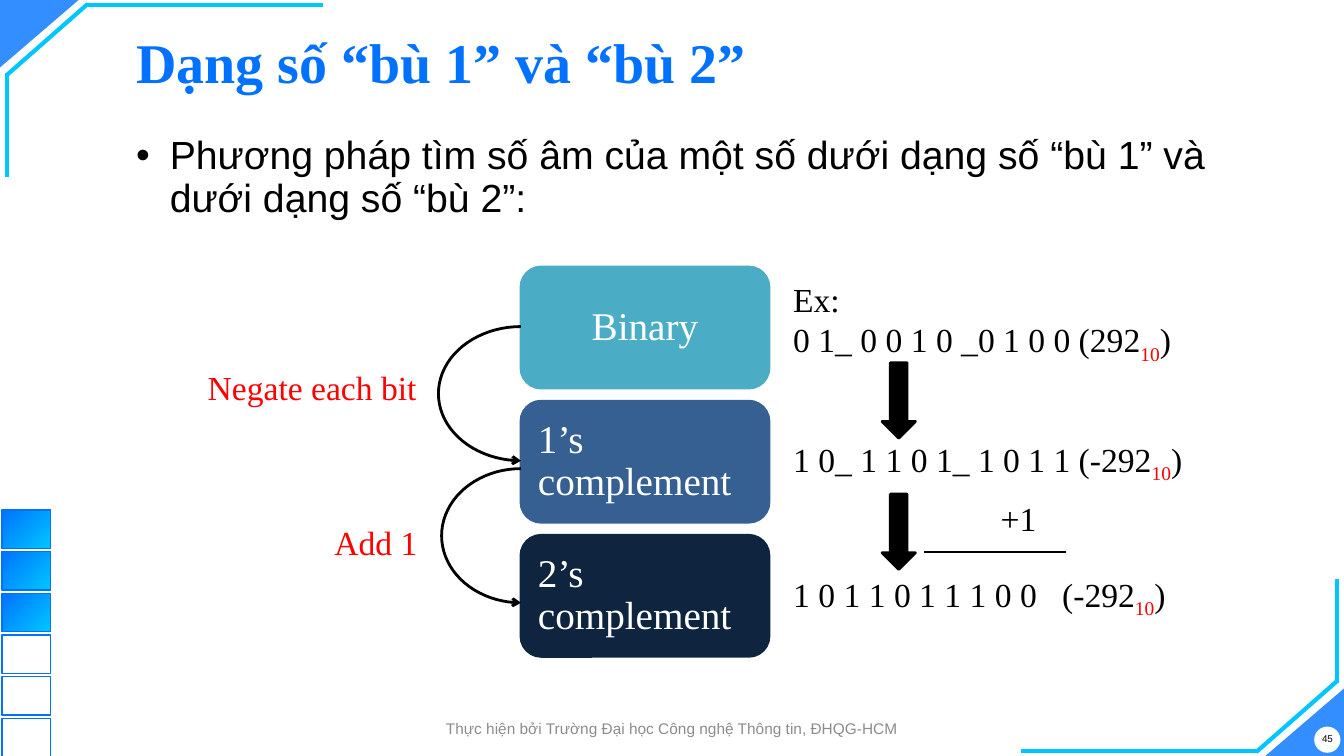
import math
from dataclasses import dataclass

import pptx
import pptx.dml.color
import pptx.enum.shapes
import pptx.enum.text
import pptx.oxml.ns
import pptx.util
from lxml import etree

Cm = pptx.util.Cm
Pt = pptx.util.Pt
Kind = pptx.enum.shapes.MSO_SHAPE
Align = pptx.enum.text.PP_ALIGN
Anchor = pptx.enum.text.MSO_ANCHOR
WIDE, HIGH = 33.87, 19.05


@dataclass(frozen=True)
class Theme:
    blue: str = "0072FF"
    cyan: str = "00C6FF"
    black: str = "000000"
    white: str = "FFFFFF"
    red: str = "FF0000"
    gray: str = "8C8C8C"
    steps: tuple = ("4BACC6", "366092", "0F243E")
    serif: str = "Times New Roman"
    sans: str = "Arial"
    title: int = 40
    body: int = 28
    label: int = 24
    foot: int = 11
    page: int = 7


def rgb(code):
    return pptx.dml.color.RGBColor.from_string(code)


def node(parent, tag, **attrs):
    return etree.SubElement(parent, pptx.oxml.ns.qn(tag), attrs)


class Board:
    def __init__(self, theme, slide):
        self.theme = theme
        self.slide = slide
        self.shapes = slide.shapes

    def style(self, para, size, face, color, bold=False):
        for run in para.runs:
            font = run.font
            font.size, font.name, font.bold = Pt(size), face, bold
            font.color.rgb = rgb(color)

    def title(self, words, box):
        shape = self.shapes.title
        shape.left, shape.top, shape.width, shape.height = map(Cm, box)
        frame = shape.text_frame
        frame.text = words
        frame.auto_size = pptx.enum.text.MSO_AUTO_SIZE.NONE
        frame.vertical_anchor = Anchor.MIDDLE
        para = frame.paragraphs[0]
        para.alignment = Align.JUSTIFY
        para.line_spacing = 0.9
        para.space_after = Pt(10)
        self.style(para, self.theme.title, self.theme.serif, self.theme.blue, True)

    def text(self, words, box, size, face, color, align=Align.LEFT, pad=0.1, anchor=Anchor.TOP):
        frame = self.shapes.add_textbox(*map(Cm, box)).text_frame
        frame.word_wrap = True
        frame.vertical_anchor = anchor
        frame.margin_left = frame.margin_right = Cm(pad)
        frame.margin_top = frame.margin_bottom = Cm(0.1)
        frame.text = words
        for para in frame.paragraphs:
            para.alignment = align
            self.style(para, size, face, color)
        return frame.paragraphs[-1]

    def label(self, words, box, color=None, align=Align.LEFT):
        return self.text(words, box, self.theme.label, self.theme.serif,
                         color or self.theme.black, align)

    def number(self, words, box, tab=None):
        """Binary digits followed by the value with its base as a red subscript."""
        para = self.label(words, box)
        if tab:
            stops = node(para._p.get_or_add_pPr(), "a:tabLst")
            node(stops, "a:tab", pos=str(Cm(tab)), algn="l")
        for part in ("10", ")"):
            para.add_run().text = part
        self.style(para, self.theme.label, self.theme.serif, self.theme.black)
        base = para.runs[-2]
        base.font.color.rgb = rgb(self.theme.red)
        base._r.get_or_add_rPr().set("baseline", "-25000")

    def bullet(self, words, box):
        para = self.text(words, box, self.theme.body, self.theme.sans,
                         self.theme.black, pad=0.25)
        para.line_spacing = 0.9
        props = para._p.get_or_add_pPr()
        props.set("marL", str(Cm(0.85)))
        props.set("indent", str(Cm(-0.85)))
        node(props, "a:buFont", typeface=self.theme.sans)
        node(props, "a:buChar", char="•")

    def shape(self, kind, box, fill=None, line=None, width=1):
        item = self.shapes.add_shape(kind, *map(Cm, box))
        self.paint(item, fill, line, width)
        return item

    def paint(self, item, fill, line, width):
        item.shadow.inherit = False
        if fill:
            item.fill.solid()
            item.fill.fore_color.rgb = rgb(fill)
        else:
            item.fill.background()
        if line:
            item.line.color.rgb = rgb(line)
            item.line.width = Pt(width)
        else:
            item.line.fill.background()

    def corner(self, box, turn):
        item = self.shape(Kind.ISOSCELES_TRIANGLE, box, self.theme.blue)
        item.adjustments[0] = 1
        item.rotation = turn
        color = item._element.spPr.find(".//" + pptx.oxml.ns.qn("a:srgbClr"))
        node(color, "a:alpha", val="80000")

    def square(self, box, full):
        item = self.shape(Kind.RECTANGLE, box, line=self.theme.blue)
        if full:
            item.fill.gradient()
            item.fill.gradient_angle = 315
            for stop, code in zip(item.fill.gradient_stops, (self.theme.blue, self.theme.cyan)):
                stop.color.rgb = rgb(code)

    def step(self, words, box, color, align):
        item = self.shape(Kind.ROUNDED_RECTANGLE, box, color, color, 2)
        frame = item.text_frame
        frame.word_wrap = True
        frame.vertical_anchor = Anchor.MIDDLE
        frame.margin_left = frame.margin_right = Cm(0.28)
        frame.margin_top = frame.margin_bottom = Cm(0.28)
        frame.text = words
        para = frame.paragraphs[0]
        para.alignment = align
        para.line_spacing = 0.9
        self.style(para, self.theme.body, self.theme.serif, self.theme.white)

    def line(self, start, end, color, width):
        item = self.shapes.add_connector(pptx.enum.shapes.MSO_CONNECTOR.STRAIGHT,
                                         *map(Cm, (*start, *end)))
        item.line.color.rgb = rgb(color)
        item.line.width = Pt(width)
        node(item._element.spPr, "a:effectLst")

    def loop(self, right, top, width, height):
        """Half ellipse open to the right, with an arrow at its lower end."""
        count = 40
        turns = [math.pi * i / count for i in range(count + 1)]
        points = [(Cm(right - width * math.sin(a)), Cm(top + height * (1 - math.cos(a)) / 2))
                  for a in turns]
        pen = self.shapes.build_freeform(*points[0])
        pen.add_line_segments(points[1:], close=False)
        item = pen.convert_to_shape()
        self.paint(item, None, self.theme.black, 2)
        node(item.line._get_or_add_ln(), "a:tailEnd", type="arrow")


def frame(board):
    look = board.theme
    board.corner((0, 0, 1.98, 1.7), 180)
    board.corner((WIDE - 1.98, HIGH - 1.7, 1.98, 1.7), 0)
    edges = [((8.13, 0.13), (2.16, 0.13)), ((2.21, 0.1), (0.15, 1.91)),
             ((0.18, 4.45), (0.18, 1.85))]
    for edge in edges:
        board.line(*edge, look.cyan, 3)
        board.line(*[(WIDE - x, HIGH - y) for x, y in edge], look.cyan, 3)
    for i in range(6):
        board.square((0.05, 12.85 + 1.05 * i, 1.22, 0.97), i < 3)
    board.shape(Kind.OVAL, (33.12, 18.31, 0.66, 0.66), look.white)
    board.text("45", (33.05, 18.21, 0.81, 0.81), look.page, look.sans, look.black,
               Align.CENTER, 0, Anchor.MIDDLE)
    board.text("Thực hiện bởi Trường Đại học Công nghệ Thông tin, ĐHQG-HCM",
               (10.13, 17.98, 13.61, 0.74), look.foot, look.sans, look.gray,
               Align.CENTER, anchor=Anchor.MIDDLE)


def main():
    deck = pptx.Presentation()
    deck.slide_width, deck.slide_height = Cm(WIDE), Cm(HIGH)
    look = Theme()
    board = Board(look, deck.slides.add_slide(deck.slide_layouts[5]))
    frame(board)
    board.title("Dạng số “bù 1” và “bù 2”", (3.18, 0.41, 29.21, 2.49))
    board.bullet("Phương pháp tìm số âm của một số dưới dạng số “bù 1” và dưới dạng số “bù 2”:",
                 (3.18, 3.33, 29.21, 2.6))

    steps = [("Binary", Align.CENTER), ("1’s complement", Align.LEFT),
             ("2’s complement", Align.LEFT)]
    for i, (words, align) in enumerate(steps):
        board.step(words, (13.13, 6.73 + 3.38 * i, 6.25, 3.05), look.steps[i], align)

    board.loop(13.13, 8.23, 2.08, 3.38)
    board.loop(13.13, 11.81, 2, 3.38)
    board.label("Negate each bit", (3.18, 9.14, 7.42, 1.3), look.red, Align.RIGHT)
    board.label("Add 1", (5.18, 13.06, 5.44, 1.3), look.red, Align.RIGHT)

    board.number("Ex:\n0 1_ 0 0 1 0 _0 1 0 0 (292", (19.89, 6.93, 10.36, 2.26))
    board.number("1 0_ 1 1 0 1_ 1 0 1 1 (-292", (19.89, 10.95, 10.19, 1.3))
    board.number("1 0 1 1 0 1 1 1 0 0\t(-292", (19.89, 14.35, 10.19, 1.3), 6.78)
    for top in (9.14, 12.45):
        board.shape(Kind.DOWN_ARROW, (22.23, top, 0.84, 1.9), look.black, look.black, 2)
    board.label("+1", (25.12, 12.45, 2.36, 1.12))
    board.line((23.29, 13.92), (26.87, 13.92), look.black, 1.5)
    deck.save("out.pptx")


if __name__ == "__main__":
    main()
